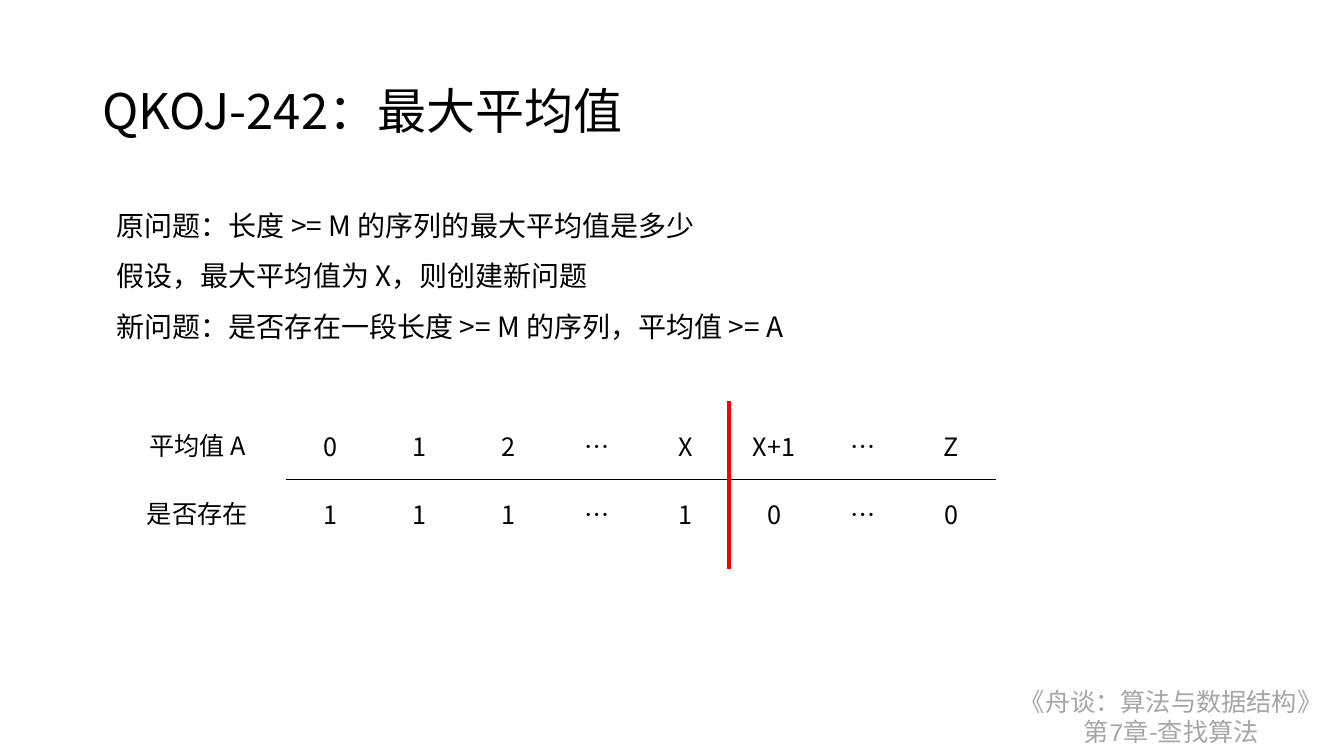
import pptx
import pptx.util
import pptx.dml.color
import pptx.enum.shapes
import pptx.enum.text
import pptx.oxml
import pptx.oxml.ns

Pt = pptx.util.Pt
ALIGN = pptx.enum.text.PP_ALIGN
ANCHOR = pptx.enum.text.MSO_ANCHOR
BLACK = pptx.dml.color.RGBColor(0, 0, 0)
GRAY = pptx.dml.color.RGBColor(0xA6, 0xA6, 0xA6)
RED = pptx.dml.color.RGBColor(0xFF, 0, 0)
FONT, DIGIT_FONT = "Noto Sans CJK SC", "Courier New"
NO_TABLE_STYLE = "{2D5ABB26-0587-4C30-8999-92F81FD0307C}"

# Content: a paragraph is a string or a list of (text, font) runs
TITLE = "QKOJ-242：最大平均值"
PROBLEM = [
    "原问题：长度 >= M 的序列的最大平均值是多少",
    "假设，最大平均值为 X，则创建新问题",
    "新问题：是否存在一段长度 >= M 的序列，平均值 >= A",
]
FOOTER = [
    "《舟谈：算法与数据结构》",
    [("第", FONT), ("7", DIGIT_FONT), ("章-查找算法", FONT)],
]
AVERAGES = ["0", "1", "2", "…", "X", "X+1", "…", "Z"]
EXISTS = ["1", "1", "1", "…", "1", "0", "…", "0"]
ROW_LABELS = [("平均值 A", 99.4, 85.7), ("是否存在", 97.9, 87.1)]

# Table grid
GRID_LEFT, GRID_TOP, COLUMN, ROW = 204.5, 294.5, 63.36, 48.1
LABEL_HEIGHT = 29.1
LAST_YES = AVERAGES.index("X") + 1
DIVIDER_OVERHANG = 8


def write(frame, paragraphs, size=18, color=BLACK, align=ALIGN.LEFT, spacing=None):
    for index, content in enumerate(paragraphs):
        paragraph = frame.paragraphs[0] if index == 0 else frame.add_paragraph()
        paragraph.alignment = align
        paragraph.line_spacing = spacing
        runs = [(content, FONT)] if isinstance(content, str) else content
        for text, font in runs:
            run = paragraph.add_run()
            run.text = text
            run.font.size = Pt(size)
            run.font.name = font
            run.font.color.rgb = color
            east_asian = pptx.oxml.parse_xml(
                f'<a:ea {pptx.oxml.ns.nsdecls("a")} typeface="{font}"/>')
            run.font._element.append(east_asian)


def add_text(left, top, width, height, paragraphs, wrap=False,
             anchor=ANCHOR.TOP, **text_format):
    box = slide.shapes.add_textbox(Pt(left), Pt(top), Pt(width), Pt(height))
    frame = box.text_frame
    frame.word_wrap = wrap
    if not wrap:
        frame.auto_size = pptx.enum.text.MSO_AUTO_SIZE.SHAPE_TO_FIT_TEXT
    frame.vertical_anchor = anchor
    write(frame, paragraphs, **text_format)


def add_border(cell, side):
    border = pptx.oxml.parse_xml(
        f'<a:{side} {pptx.oxml.ns.nsdecls("a")} w="12700"><a:solidFill>'
        f'<a:srgbClr val="{BLACK}"/></a:solidFill></a:{side}>')
    cell._tc.get_or_add_tcPr().insert(0, border)


presentation = pptx.Presentation()
presentation.slide_width, presentation.slide_height = Pt(960), Pt(540)
slide = presentation.slides.add_slide(presentation.slide_layouts[6])

# Footer, title and problem statement
add_text(717.8, 486.7, 237.6, 51, FOOTER, color=GRAY, align=ALIGN.CENTER)
add_text(66, 28.8, 828, 104.4, [TITLE], wrap=True, anchor=ANCHOR.MIDDLE,
         size=35, spacing=0.9)
add_text(76.3, 133.2, 510.5, 112.3, PROBLEM, size=20, spacing=1.5)

# Table of averages, with one rule between its rows
answers = slide.shapes.add_table(
    2, len(AVERAGES), Pt(GRID_LEFT), Pt(GRID_TOP),
    Pt(COLUMN * len(AVERAGES)), Pt(ROW * 2)).table
answers.first_row = answers.horz_banding = False
answers._tbl.tblPr.find(pptx.oxml.ns.qn("a:tableStyleId")).text = NO_TABLE_STYLE
for column in answers.columns:
    column.width = Pt(COLUMN)
for r, (values, side) in enumerate([(AVERAGES, "lnB"), (EXISTS, "lnT")]):
    answers.rows[r].height = Pt(ROW)
    for c, value in enumerate(values):
        cell = answers.cell(r, c)
        cell.fill.background()
        cell.vertical_anchor = ANCHOR.MIDDLE
        write(cell.text_frame, [value], align=ALIGN.CENTER)
        add_border(cell, side)

# Row labels
for r, (label, left, width) in enumerate(ROW_LABELS):
    top = GRID_TOP + r * ROW + (ROW - LABEL_HEIGHT) / 2
    add_text(left, top, width, LABEL_HEIGHT, [label])

# Divider between yes and no
divider_x = Pt(GRID_LEFT + LAST_YES * COLUMN - 0.8)
divider = slide.shapes.add_connector(
    pptx.enum.shapes.MSO_CONNECTOR.STRAIGHT,
    divider_x, Pt(GRID_TOP - DIVIDER_OVERHANG),
    divider_x, Pt(GRID_TOP + 2 * ROW + 2 * DIVIDER_OVERHANG))
divider.line.color.rgb = RED
divider.line.width = Pt(3)
divider._element.spPr.append(
    pptx.oxml.parse_xml(f'<a:effectLst {pptx.oxml.ns.nsdecls("a")}/>'))

presentation.save("out.pptx")
